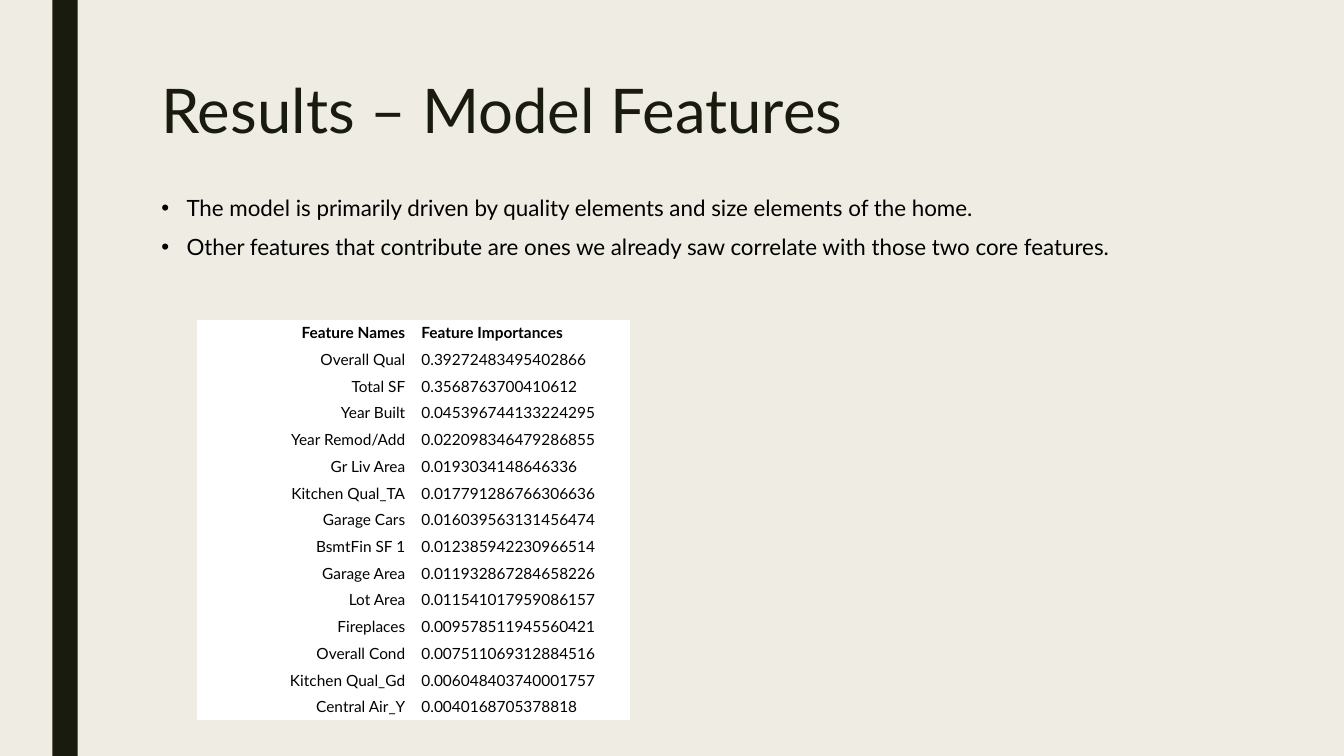
from dataclasses import dataclass

from lxml.etree import SubElement
from pptx import Presentation
from pptx.dml.color import RGBColor as Rgb
from pptx.enum.shapes import MSO_SHAPE as Shape
from pptx.enum.text import MSO_ANCHOR as Anchor, MSO_AUTO_SIZE as Fit, PP_ALIGN as Align
from pptx.oxml.ns import qn
from pptx.util import Inches, Pt


@dataclass(frozen=True)
class Theme:
    font: str = "Lato"
    back: str = "EFEDE3"
    dark: str = "191B0E"
    ink: str = "000000"
    white: str = "FFFFFF"
    head: int = 44
    body: int = 16
    cell: int = 11
    plain: str = "{2D5ABB26-0587-4C30-8999-92F81FD0307C}"


POINTS = [
    "The model is primarily driven by quality elements and size elements of the home.",
    "Other features that contribute are ones we already saw correlate with those two core features.",
]
ROWS = [
    ("Feature Names", "Feature Importances"),
    ("Overall Qual", "0.39272483495402866"),
    ("Total SF", "0.3568763700410612"),
    ("Year Built", "0.045396744133224295"),
    ("Year Remod/Add", "0.022098346479286855"),
    ("Gr Liv Area", "0.0193034148646336"),
    ("Kitchen Qual_TA", "0.017791286766306636"),
    ("Garage Cars", "0.016039563131456474"),
    ("BsmtFin SF 1", "0.012385942230966514"),
    ("Garage Area", "0.011932867284658226"),
    ("Lot Area", "0.011541017959086157"),
    ("Fireplaces", "0.009578511945560421"),
    ("Overall Cond", "0.007511069312884516"),
    ("Kitchen Qual_Gd", "0.006048403740001757"),
    ("Central Air_Y", "0.0040168705378818"),
]


def write(para, text, font, size, color, bold=False, align=Align.LEFT, space=1.0, before=0):
    para.alignment, para.line_spacing, para.space_before = align, space, Pt(before)
    run = para.add_run()
    run.text = text
    face = run.font
    face.name, face.size, face.bold = font, Pt(size), bold
    face.color.rgb = Rgb.from_string(color)


class Page:
    """Draws styled elements on the current slide."""

    def __init__(self, slide, theme):
        self.slide, self.theme = slide, theme
        self.paint(slide.background.fill, theme.back)

    def paint(self, fill, color):
        fill.solid()
        fill.fore_color.rgb = Rgb.from_string(color)

    def place(self, item, box):
        item.left, item.top, item.width, item.height = map(Inches, box)
        frame = item.text_frame
        frame.word_wrap, frame.auto_size = True, Fit.NONE
        frame.vertical_anchor = Anchor.TOP
        return frame

    def bar(self, box):
        item = self.slide.shapes.add_shape(Shape.RECTANGLE, *map(Inches, box))
        item.shadow.inherit = False
        self.paint(item.fill, self.theme.dark)
        item.line.fill.background()

    def title(self, text, box):
        look = self.theme
        frame = self.place(self.slide.shapes.title, box)
        write(frame.paragraphs[0], text, look.font, look.head, look.dark, space=0.89)

    def list(self, lines, box):
        look = self.theme
        frame = self.place(self.slide.placeholders[1], box)
        for num, text in enumerate(lines):
            para = frame.add_paragraph() if num else frame.paragraphs[0]
            write(para, text, look.font, look.body, look.ink, space=0.9, before=10)
            props = para._p.get_or_add_pPr()
            props.set("marL", str(Inches(0.25)))
            props.set("indent", str(Inches(-0.25)))
            SubElement(props, qn("a:buFont"), typeface="Arial")
            SubElement(props, qn("a:buChar"), char="•")

    def table(self, rows, spot, wide, high):
        look = self.theme
        size = wide * len(rows[0]), high * len(rows)
        frame = self.slide.shapes.add_table(len(rows), len(rows[0]), *map(Inches, spot + size))
        grid = frame.table
        grid.first_row = grid.horz_banding = False
        grid._tbl.tblPr.find(qn("a:tableStyleId")).text = look.plain
        for row, texts in enumerate(rows):
            grid.rows[row].height = Inches(high)
            for col, text in enumerate(texts):
                cell = grid.cell(row, col)
                self.paint(cell.fill, look.white)
                cell.vertical_anchor = Anchor.MIDDLE
                cell.margin_left = cell.margin_right = Inches(0.08)
                cell.margin_top = cell.margin_bottom = Inches(0.04)
                write(cell.text_frame.paragraphs[0], text, look.font, look.cell, look.ink,
                      bold=row == 0, align=Align.LEFT if col else Align.RIGHT)


def main():
    deck = Presentation()
    deck.slide_width, deck.slide_height = Inches(13.33), Inches(7.5)
    page = Page(deck.slides.add_slide(deck.slide_layouts[1]), Theme())
    page.bar((0.52, 0, 0.25, 7.5))
    page.title("Results – Model Features", (1.5, 0.75, 10.5, 1.62))
    page.list(POINTS, (1.5, 1.91, 11.5, 4.76))
    page.table(ROWS, (1.95, 3.17), 2.15, 0.26)
    deck.save("out.pptx")


if __name__ == "__main__":
    main()
